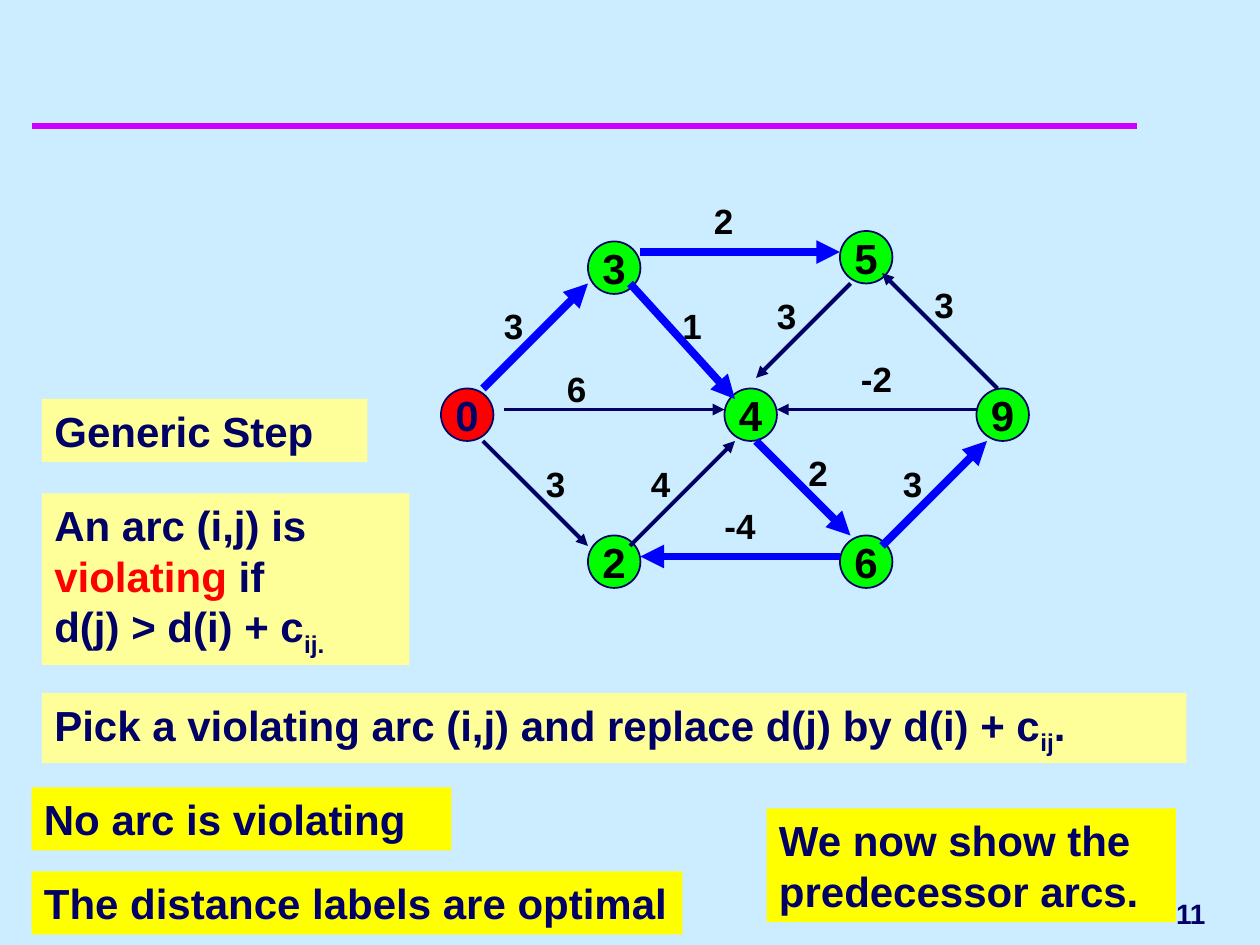
import pptx
import pptx.util
import pptx.dml.color
import pptx.enum.shapes
import pptx.enum.text
import pptx.oxml.ns
import lxml.etree

Pt = pptx.util.Pt
Align = pptx.enum.text.PP_ALIGN
Anchor = pptx.enum.text.MSO_ANCHOR
ShapeType = pptx.enum.shapes.MSO_SHAPE
Connector = pptx.enum.shapes.MSO_CONNECTOR

THEME = {
    "font": "Arial",
    "background": "CCECFF", "rule": "CC00FF", "navy": "000066", "black": "000000",
    "node": "00FF00", "source": "FF0000", "violating": "FF0000", "tree": "0000FF",
    "step": "FFFF99", "result": "FFFF00",
    "body_size": 24, "label_size": 20, "number_size": 16,
    "rule_width": 4, "outline_width": 1, "arc_width": 2.25, "tree_width": 4.5,
}

NODE_SIZE = 30
NODES = [
    ("3", 336, 138, "node", "black"),
    ("5", 480, 132, "node", "black"),
    ("4", 414, 222, "node", "black"),
    ("6", 480, 306, "node", "black"),
    ("2", 336, 306, "node", "black"),
    ("9", 558, 222, "node", "black"),
    ("0", 252, 222, "source", "navy"),
]

PLAIN_ARCS = [
    ((570, 222), (504, 156), "3", (534, 162)),
    ((486, 162), (432, 216), "3", (444, 168)),
    ((288, 234), (414, 234), "6", (324, 210)),
    ((360, 312), (420, 252), "4", (372, 264)),
    ((276, 252), (336, 312), "3", (312, 264)),
    ((558, 234), (444, 234), "-2", (492, 204)),
]
TREE_ARCS = [
    ((366, 144), (480, 144), "2", (408, 114)),
    ((432, 252), (486, 306), "2", (462, 258)),
    ((480, 318), (366, 318), "-4", (414, 288)),
    ((276, 222), (336, 162), "3", (288, 174)),
    ((360, 162), (420, 228), "1", (390, 174)),
    ((504, 312), (564, 252), "3", (516, 264)),
]

NOTES = [
    ((24, 228, 186, 36), "step", [("Generic Step", "")]),
    ((24, 282, 210, 98), "step", [
        ("An arc (i,j) is ", ""), ("violating", "violating"), (" if", "break"),
        ("d(j) > d(i) + c", ""), ("ij.", "subscript")]),
    ((24, 396, 654, 40), "step", [
        ("Pick a violating arc (i,j) and replace d(j) by d(i) + c", ""),
        ("ij", "subscript"), (".", "")]),
    ((18, 450, 240, 36), "result", [("No arc is violating", "")]),
    ((18, 498, 372, 36), "result", [("The distance labels are optimal", "")]),
    ((438, 462, 234, 65), "result", [("We now show the predecessor arcs.", "")]),
]


def color(name):
    return pptx.dml.color.RGBColor.from_string(THEME[name])


def apply(target, values):
    for name, value in values.items():
        setattr(target, name, value)


def write(shape, runs, size, ink, align=Align.LEFT, anchor=Anchor.TOP, wrap=True, margins=(7.2, 3.6)):
    side, edge = map(Pt, margins)
    frame = shape.text_frame
    apply(frame, {"word_wrap": wrap, "vertical_anchor": anchor, "margin_left": side,
                  "margin_right": side, "margin_top": edge, "margin_bottom": edge})
    paragraph = frame.paragraphs[0]
    paragraph.alignment = align
    for text, style in runs:
        run = paragraph.add_run()
        run.text = text
        apply(run.font, {"name": THEME["font"], "size": Pt(THEME[size]), "bold": True})
        run.font.color.rgb = color("violating" if style == "violating" else ink)
        if style == "subscript":
            run._r.get_or_add_rPr().set("baseline", "-25000")
        if style == "break":
            paragraph.add_line_break()


def add_block(slide, kind, box, fill, outline=None):
    shape = slide.shapes.add_shape(kind, *map(Pt, box))
    shape.shadow.inherit = False
    shape.fill.solid()
    shape.fill.fore_color.rgb = color(fill)
    if outline:
        shape.line.color.rgb = color(outline)
        shape.line.width = Pt(THEME["outline_width"])
    else:
        shape.line.fill.background()
    return shape


def add_line(slide, start, end, ink, width, arrow=True):
    line = slide.shapes.add_connector(Connector.STRAIGHT, *map(Pt, start + end))
    line.line.color.rgb = color(ink)
    line.line.width = Pt(THEME[width])
    qualified = pptx.oxml.ns.qn
    if arrow:
        lxml.etree.SubElement(line.line._get_or_add_ln(), qualified("a:tailEnd"), type="triangle")
    lxml.etree.SubElement(line._element.spPr, qualified("a:effectLst"))


def add_text(slide, box, text, size, ink, **layout):
    write(slide.shapes.add_textbox(*map(Pt, box)), [(text, "")], size, ink, **layout)


def main():
    presentation = pptx.Presentation()
    apply(presentation, {"slide_width": Pt(720), "slide_height": Pt(540)})
    slide = presentation.slides.add_slide(presentation.slide_layouts[6])
    slide.background.fill.solid()
    slide.background.fill.fore_color.rgb = color("background")

    add_line(slide, (18, 72), (650, 72), "rule", "rule_width", arrow=False)
    for text, left, top, fill, ink in NODES:
        node = add_block(slide, ShapeType.OVAL, (left, top, NODE_SIZE, NODE_SIZE), fill, "navy")
        write(node, [(text, "")], "body_size", ink, Align.CENTER, Anchor.MIDDLE, wrap=False)
    add_text(slide, (558, 504, 138, 36), "11", "number_size", "navy",
             align=Align.RIGHT, anchor=Anchor.MIDDLE, wrap=False)

    for arcs, ink, width in ((PLAIN_ARCS, "navy", "arc_width"), (TREE_ARCS, "tree", "tree_width")):
        for start, end, cost, place in arcs:
            add_line(slide, start, end, ink, width)
            add_text(slide, (*place, 16 if len(cost) == 1 else 39, 24), cost,
                     "label_size", "black", margins=(0, 0))

    for box, fill, runs in NOTES:
        write(add_block(slide, ShapeType.RECTANGLE, box, fill), runs, "body_size", "navy")
    presentation.save("out.pptx")


if __name__ == "__main__":
    main()
